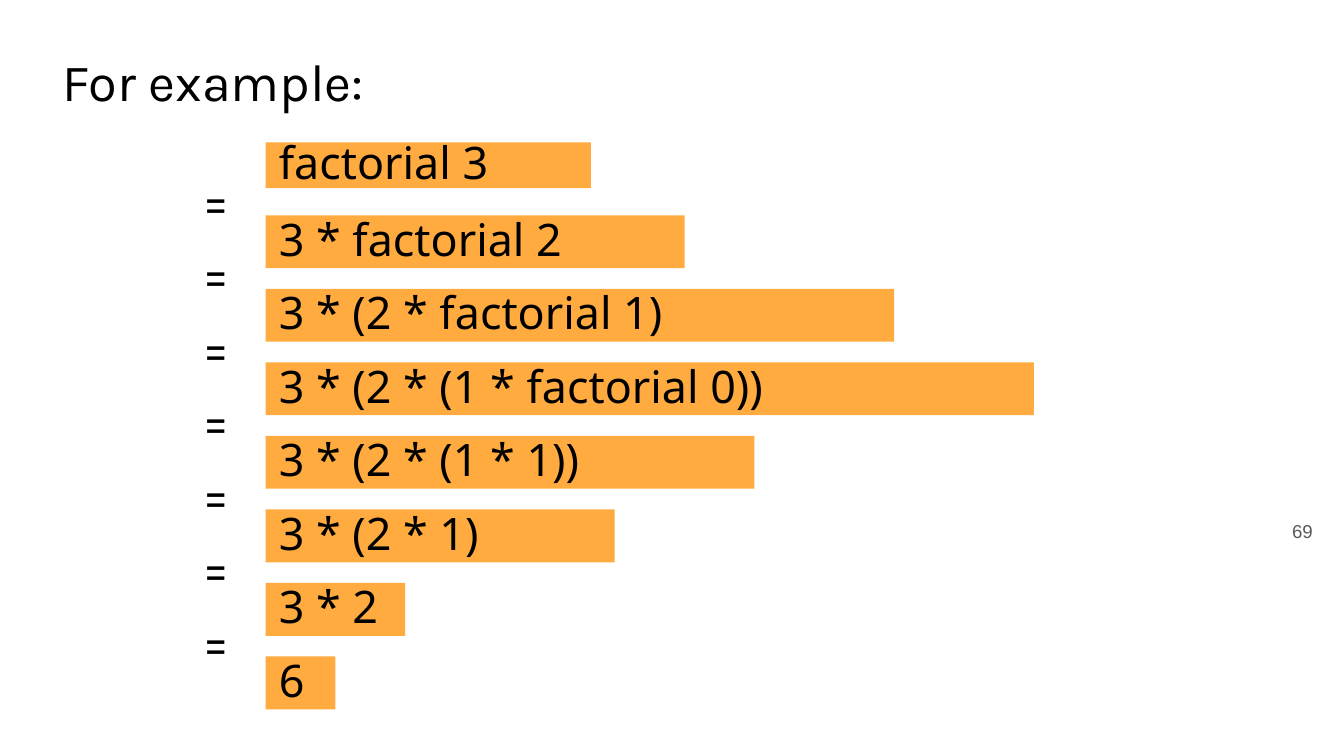
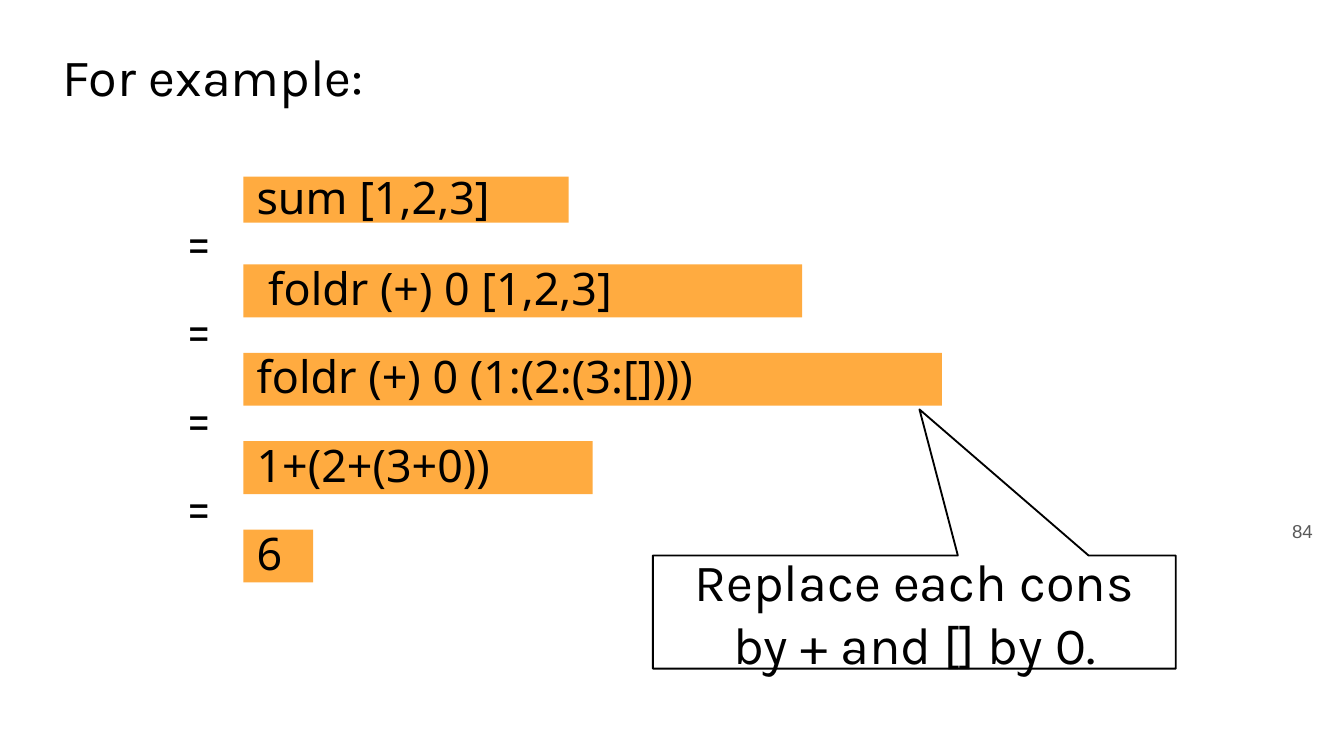
from dataclasses import dataclass

import pptx
import pptx.dml.color
import pptx.enum.shapes
import pptx.enum.text
import pptx.util

Cm = pptx.util.Cm
ALIGN = pptx.enum.text.PP_ALIGN
ANCHOR = pptx.enum.text.MSO_ANCHOR
SHAPE = pptx.enum.shapes.MSO_SHAPE

BLACK = "000000"
GREY = "595959"
ORANGE = "FFAB40"
HEADING_FONT = "Karla"
CODE_FONT = "Noto Sans"
NUMBER_FONT = "Arial"

TITLE_LEFT = 0.94
TITLE_HEIGHT = 1.09
WIDTH_UNIT = 1.32
STEP_HEIGHT = 1
START_WIDTH = 6.15
START_HEIGHT = 0.87


@dataclass(frozen=True)
class Step:
    expression: str
    width_units: int


@dataclass(frozen=True)
class Derivation:
    start: str
    start_top: float
    steps: tuple[Step, ...]
    left: float
    first_step_top: float
    pitch: float
    equals_left: float
    equals_rise: float


@dataclass(frozen=True)
class Page:
    number: int
    title_top: float
    title_width: float
    derivation: Derivation
    remark: str = ""


PAGES = (
    Page(69, 0.97, 6.3, Derivation(
        "factorial 3", 2.69,
        (
            Step("3 * factorial 2", 6),
            Step("3 * (2 * factorial 1)", 9),
            Step("3 * (2 * (1 * factorial 0))", 11),
            Step("3 * (2 * (1 * 1))", 7),
            Step("3 * (2 * 1)", 5),
            Step("3 * 2", 2),
            Step("6", 1),
        ),
        left=5.02, first_step_top=4.07, pitch=1.39,
        equals_left=3.43, equals_rise=0.82)),
    Page(84, 0.89, 22.5, Derivation(
        "sum [1,2,3]", 3.34,
        (
            Step(" foldr (+) 0 [1,2,3]", 8),
            Step("foldr (+) 0 (1:(2:(3:[])))", 10),
            Step("1+(2+(3+0))", 5),
            Step("6", 1),
        ),
        left=4.6, first_step_top=5, pitch=1.67,
        equals_left=3.1, equals_rise=0.99),
        remark="Replace each cons\nby + and [] by 0."),
)


def colour(value: str) -> pptx.dml.color.RGBColor:
    return pptx.dml.color.RGBColor.from_string(value)


def write(shape, text: str, *, font: str = HEADING_FONT, size: float = 28,
          ink: str = BLACK, align=ALIGN.LEFT, anchor=ANCHOR.MIDDLE,
          line_spacing: float = 1.0) -> None:
    frame = shape.text_frame
    frame.auto_size = pptx.enum.text.MSO_AUTO_SIZE.NONE
    frame.word_wrap = True
    frame.vertical_anchor = anchor
    frame.margin_left = frame.margin_right = Cm(0.25)
    frame.margin_top = frame.margin_bottom = Cm(0.13)
    frame.text = text
    for paragraph in frame.paragraphs:
        paragraph.alignment = align
        paragraph.line_spacing = line_spacing
        for run in paragraph.runs:
            run.font.name = font
            run.font.size = pptx.util.Pt(size)
            run.font.color.rgb = colour(ink)


def add_title(slide, page: Page) -> None:
    title = slide.shapes.title
    title.left, title.top = Cm(TITLE_LEFT), Cm(page.title_top)
    title.width, title.height = Cm(page.title_width), Cm(TITLE_HEIGHT)
    write(title, "For example:")


def add_page_number(slide, number: int) -> None:
    box = slide.shapes.add_textbox(Cm(23.54), Cm(9.69), Cm(1.52), Cm(0.82))
    write(box, str(number), font=NUMBER_FONT, size=10, ink=GREY,
          align=ALIGN.RIGHT, anchor=ANCHOR.TOP)


def add_expression(slide, text: str, left: float, top: float,
                   width: float, height: float) -> None:
    bar = slide.shapes.add_shape(
        SHAPE.RECTANGLE, Cm(left), Cm(top), Cm(width), Cm(height))
    bar.shadow.inherit = False
    bar.fill.solid()
    bar.fill.fore_color.rgb = colour(ORANGE)
    bar.line.fill.background()
    write(bar, text, font=CODE_FONT, size=24, line_spacing=0.9)


def add_derivation(slide, derivation: Derivation) -> None:
    add_expression(slide, derivation.start, derivation.left,
                   derivation.start_top, START_WIDTH, START_HEIGHT)
    for index, step in enumerate(derivation.steps):
        top = derivation.first_step_top + index * derivation.pitch
        add_expression(slide, step.expression, derivation.left, top,
                       step.width_units * WIDTH_UNIT, STEP_HEIGHT)
        equals = slide.shapes.add_textbox(
            Cm(derivation.equals_left), Cm(top - derivation.equals_rise),
            Cm(WIDTH_UNIT), Cm(STEP_HEIGHT))
        write(equals, "=", align=ALIGN.CENTER)


def add_remark(slide, text: str) -> None:
    callout = slide.shapes.add_shape(
        SHAPE.ROUNDED_RECTANGULAR_CALLOUT,
        Cm(12.34), Cm(10.5), Cm(9.88), Cm(2.14))
    callout.shadow.inherit = False
    callout.adjustments[0] = 0.01
    callout.adjustments[1] = -1.79
    callout.adjustments[2] = 0
    callout.fill.background()
    callout.line.color.rgb = colour(BLACK)
    callout.line.width = pptx.util.Pt(1)
    write(callout, text, align=ALIGN.CENTER)


def main() -> None:
    deck = pptx.Presentation()
    deck.slide_width, deck.slide_height = Cm(25.4), Cm(14.29)
    title_only = deck.slide_layouts[5]
    for page in PAGES:
        slide = deck.slides.add_slide(title_only)
        add_title(slide, page)
        add_page_number(slide, page.number)
        add_derivation(slide, page.derivation)
        if page.remark:
            add_remark(slide, page.remark)
    deck.save("out.pptx")


if __name__ == "__main__":
    main()
